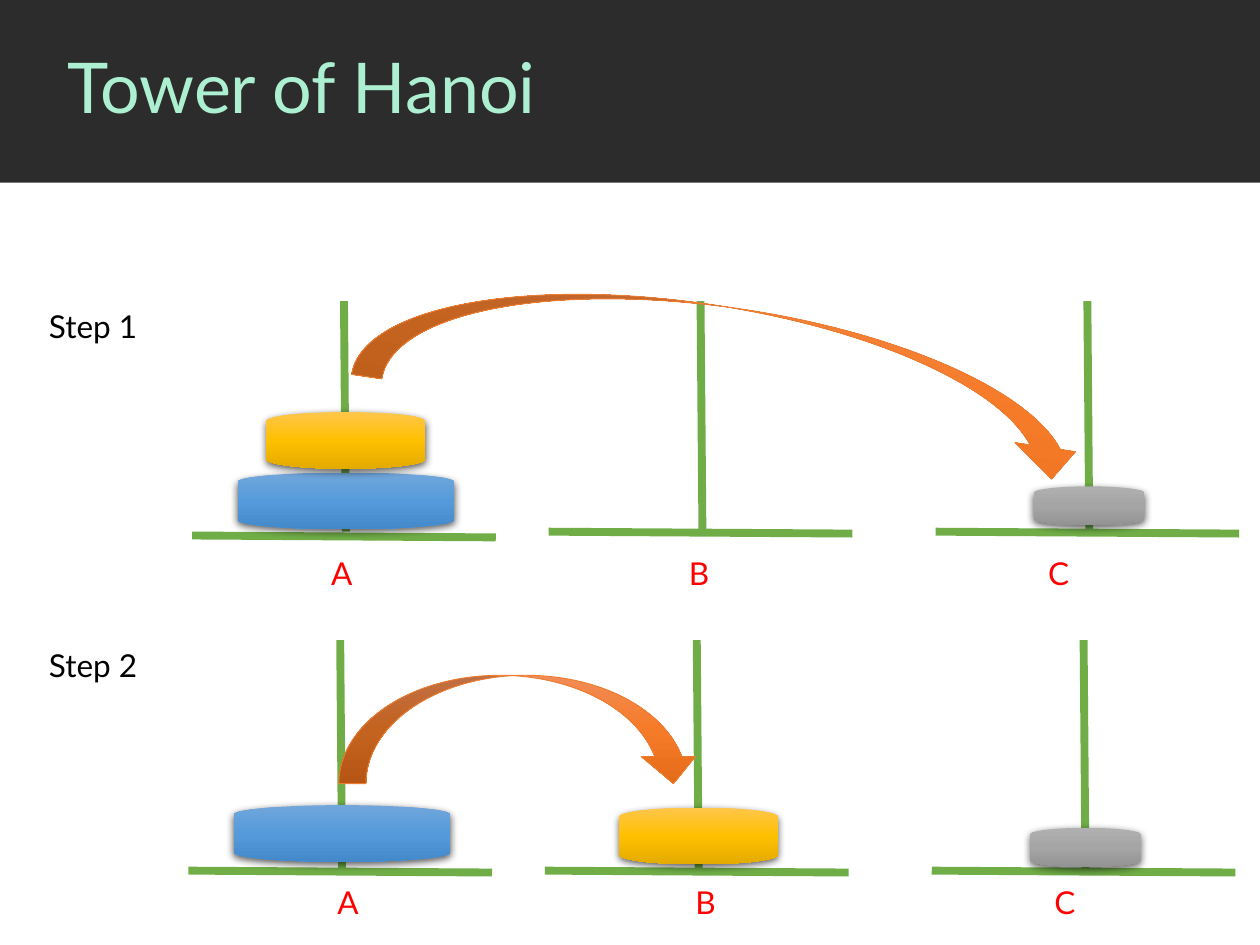
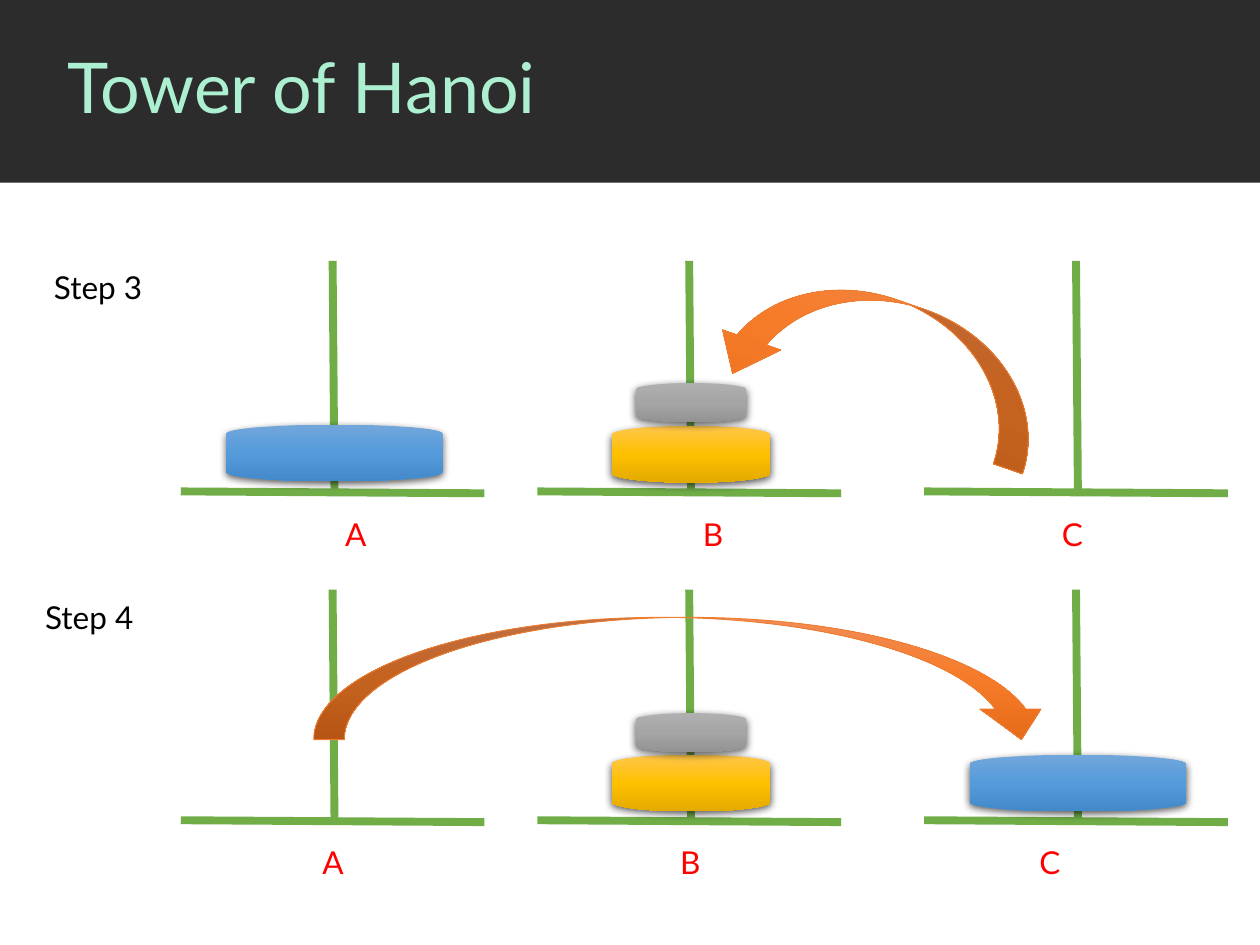
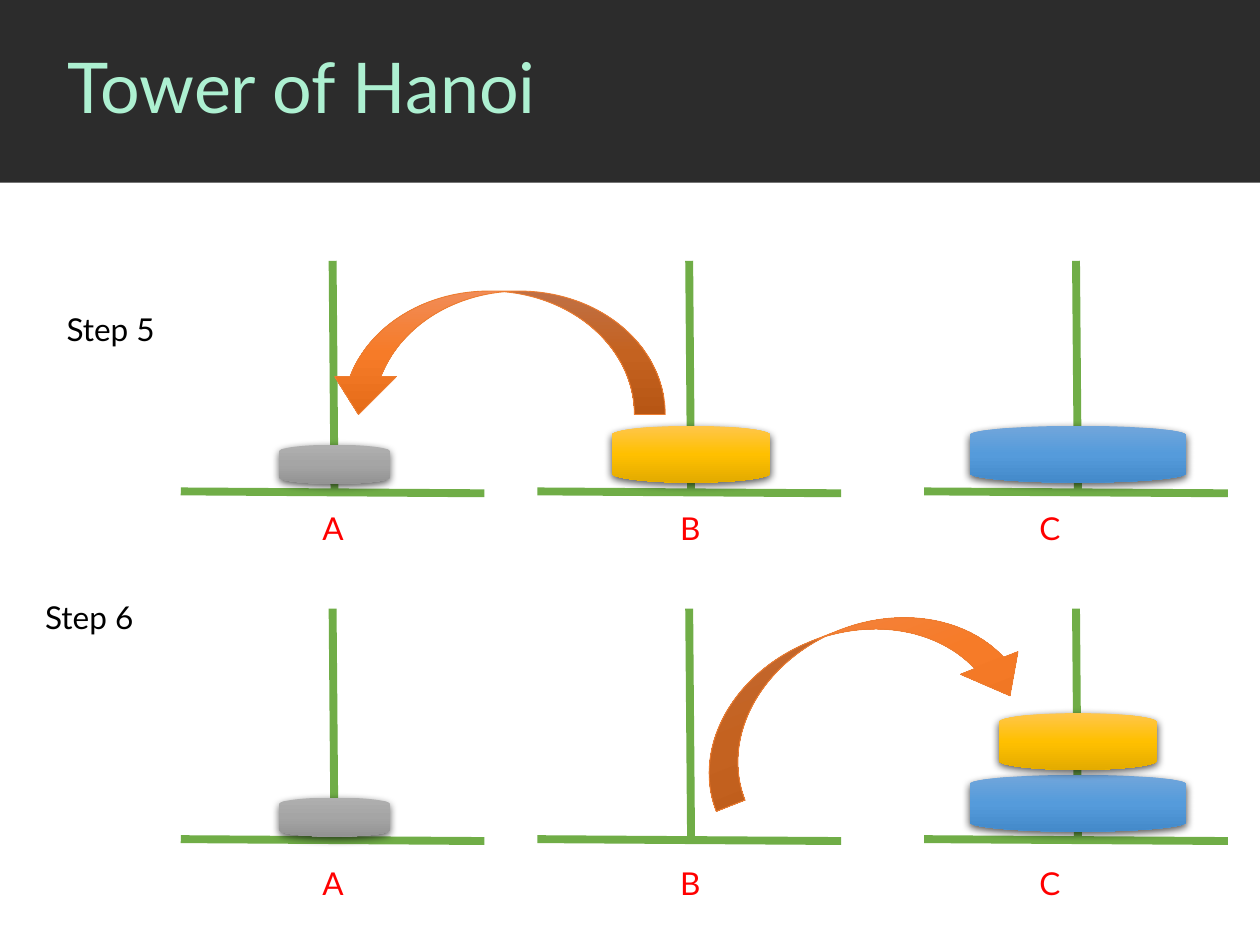
"""Build three slides that show six steps of the Tower of Hanoi."""
from dataclasses import dataclass

from lxml.etree import SubElement
from pptx import Presentation
from pptx.dml.color import RGBColor
from pptx.enum.shapes import MSO_CONNECTOR as Connector, MSO_SHAPE as Preset
from pptx.enum.text import MSO_ANCHOR as Anchor
from pptx.oxml.ns import qn
from pptx.util import Emu, Inches, Pt


@dataclass(frozen=True)
class Theme:
    font: str = "Lato"
    title_size: int = 40
    label_size: int = 18
    pole_width: float = 4.5
    outline_width: float = 0.5
    band: str = "2C2C2C"
    title: str = "ADF0D1"
    step: str = "000000"
    peg: str = "FF0000"
    pole: str = "70AD47"
    shadow: str = "000000"
    arrow_outline: str = "ED7D31"
    arrow: tuple = ("F18C57", "F67B28", "E56C19")
    blue: tuple = ("71A6DB", "559BDB", "448ACA")
    yellow: tuple = ("FFC64B", "FFC000", "E3AB00")
    gray: tuple = ("AFAFAF", "A5A5A5", "939393")


theme = Theme()
presentation = Presentation()
presentation.slide_width, presentation.slide_height = Inches(10), Inches(7.5)
columns, rows = 100, 75
cell = presentation.slide_width / columns


def grid(*cells):
    return [Emu(round(count * cell)) for count in cells]


def add_text(slide, text, box, size, color):
    frame = slide.shapes.add_textbox(*grid(*box)).text_frame
    frame.word_wrap = True
    paragraph = frame.paragraphs[0]
    paragraph.text = text
    paragraph.font.color.rgb = RGBColor.from_string(color)
    for name, value in {"name": theme.font, "size": Pt(size)}.items():
        setattr(paragraph.font, name, value)
    return frame


disk_sizes = {"blue": (17.2, 4.5), "yellow": (12.6, 4.5), "gray": (8.8, 3.1)}
pegs = [("A", 0, 0, 4.1), ("B", 28.3, 28.4, 4.4), ("C", 59, 56.9, 3.9)]
pole_height, base_reach, band_height = 18.3, 12.05, 14.5

steps = [
    {"label": (2.9, 23.9), "pole": (27.3, 23.9), "letters": (25.3, 43.5), "base_drops": (0.3, 0, 0),
     "disks": [("blue", 0, 37.5), ("yellow", 0, 32.7), ("gray", 2, 38.6)],
     "arrow": (28.3, 24.4, 58.6, 9.7), "rotation": 8.5},
    {"label": (2.9, 50.8), "pole": (27, 50.8), "letters": (25.8, 69.6),
     "disks": [("blue", 0, 63.9), ("yellow", 1, 64.1), ("gray", 2, 65.7)],
     "arrow": (26.9, 53.6, 28.7, 8.6)},
    {"label": (3.3, 20.8), "pole": (26.4, 20.7), "letters": (26.4, 40.4),
     "disks": [("blue", 0, 33.7), ("yellow", 1, 33.8), ("gray", 1, 30.4)],
     "arrow": (56.7, 23.7, 26.8, 9.8), "rotation": 19.1, "flipped": True, "head": 0.308},
    {"label": (2.6, 47), "pole": (26.4, 46.8), "letters": (24.6, 66.4),
     "disks": [("yellow", 1, 59.9), ("gray", 1, 56.6), ("blue", 2, 59.9)],
     "arrow": (24.9, 49, 58.6, 9.7)},
    {"label": (4.3, 24.1), "pole": (26.4, 20.7), "letters": (24.6, 39.9),
     "disks": [("yellow", 1, 33.8), ("gray", 0, 35.3), ("blue", 2, 33.8)],
     "arrow": (26, 23.1, 26.8, 9.8), "flipped": True, "head": 0.308},
    {"label": (2.6, 47), "pole": (26.4, 48.3), "letters": (24.6, 68.1),
     "disks": [("gray", 0, 63.3), ("blue", 2, 61.5), ("yellow", 2, 56.6)],
     "arrow": (54.1, 49.9, 27.5, 9.8), "rotation": 338.5, "head": 0.308},
]

for index, step in enumerate(steps):
    if index % 2 == 0:
        slide = presentation.slides.add_slide(presentation.slide_layouts[6])
        band = slide.shapes.add_shape(Preset.RECTANGLE, *grid(0, 0, columns, band_height))
        band.fill.solid()
        band.fill.fore_color.rgb = RGBColor.from_string(theme.band)
        band.line.fill.background()
        band.shadow.inherit = False
        title = add_text(slide, "Tower of Hanoi", (4.4, 0, 95.6, 14.4), theme.title_size, theme.title)
        title.vertical_anchor = Anchor.MIDDLE
        title.paragraphs[0].line_spacing = 0.9

    pole_left, pole_top = step["pole"]
    letter_left, letter_top = step["letters"]
    pole_foot = pole_top + pole_height
    for (letter, pole_offset, letter_offset, letter_width), drop in zip(pegs, step.get("base_drops", (0, 0, 0))):
        pole = pole_left + pole_offset
        base_top = pole_foot + drop
        for ends in [(pole, pole_top, pole + 0.15, pole_foot),
                     (pole + base_reach, base_top + 0.15, pole - base_reach, base_top)]:
            line = slide.shapes.add_connector(Connector.STRAIGHT, *grid(*ends))
            line.line.color.rgb = RGBColor.from_string(theme.pole)
            line.line.width = Pt(theme.pole_width)
            SubElement(line.element.spPr, qn("a:effectLst"))
        add_text(slide, letter, (letter_left + letter_offset, letter_top, letter_width, 4),
                 theme.label_size, theme.peg)
    add_text(slide, f"Step {index + 1}", (*step["label"], 10, 4), theme.label_size, theme.step)

    gradient_shapes = []
    for name, peg, top in step["disks"]:
        width, height = disk_sizes[name]
        left = pole_left + pegs[peg][1] + 0.15 - width / 2
        disk = slide.shapes.add_shape(Preset.FLOWCHART_MAGNETIC_DISK, *grid(left, top, width, height))
        disk.line.fill.background()
        disk.shadow.inherit = False
        shadow = SubElement(disk.element.spPr.find(qn("a:effectLst")), qn("a:outerShdw"),
                            blurRad=str(Pt(4.5)), dist=str(Pt(1.5)), dir="5400000", algn="ctr", rotWithShape="0")
        shade = SubElement(shadow, qn("a:srgbClr"), val=theme.shadow)
        SubElement(shade, qn("a:alpha"), val="63000")
        gradient_shapes.append((disk, getattr(theme, name)))

    arrow = slide.shapes.add_shape(Preset.CURVED_DOWN_ARROW, *grid(*step["arrow"]))
    arrow.rotation = step.get("rotation", 0)
    arrow.adjustments[2] = step.get("head", 0.25)
    if step.get("flipped"):
        arrow.element.spPr.find(qn("a:xfrm")).set("flipH", "1")
    arrow.line.color.rgb = RGBColor.from_string(theme.arrow_outline)
    arrow.line.width = Pt(theme.outline_width)
    arrow.shadow.inherit = False
    gradient_shapes.append((arrow, theme.arrow))

    for shape, colors in gradient_shapes:
        shape.fill.gradient()
        shape.fill.gradient_angle = 270
        stops = shape.element.spPr.find(f".//{qn('a:gsLst')}")
        stops[:] = []
        for position, color in zip((0, 50000, 100000), colors):
            stop = SubElement(stops, qn("a:gs"), pos=str(position))
            SubElement(stop, qn("a:srgbClr"), val=color)

presentation.save("out.pptx")
